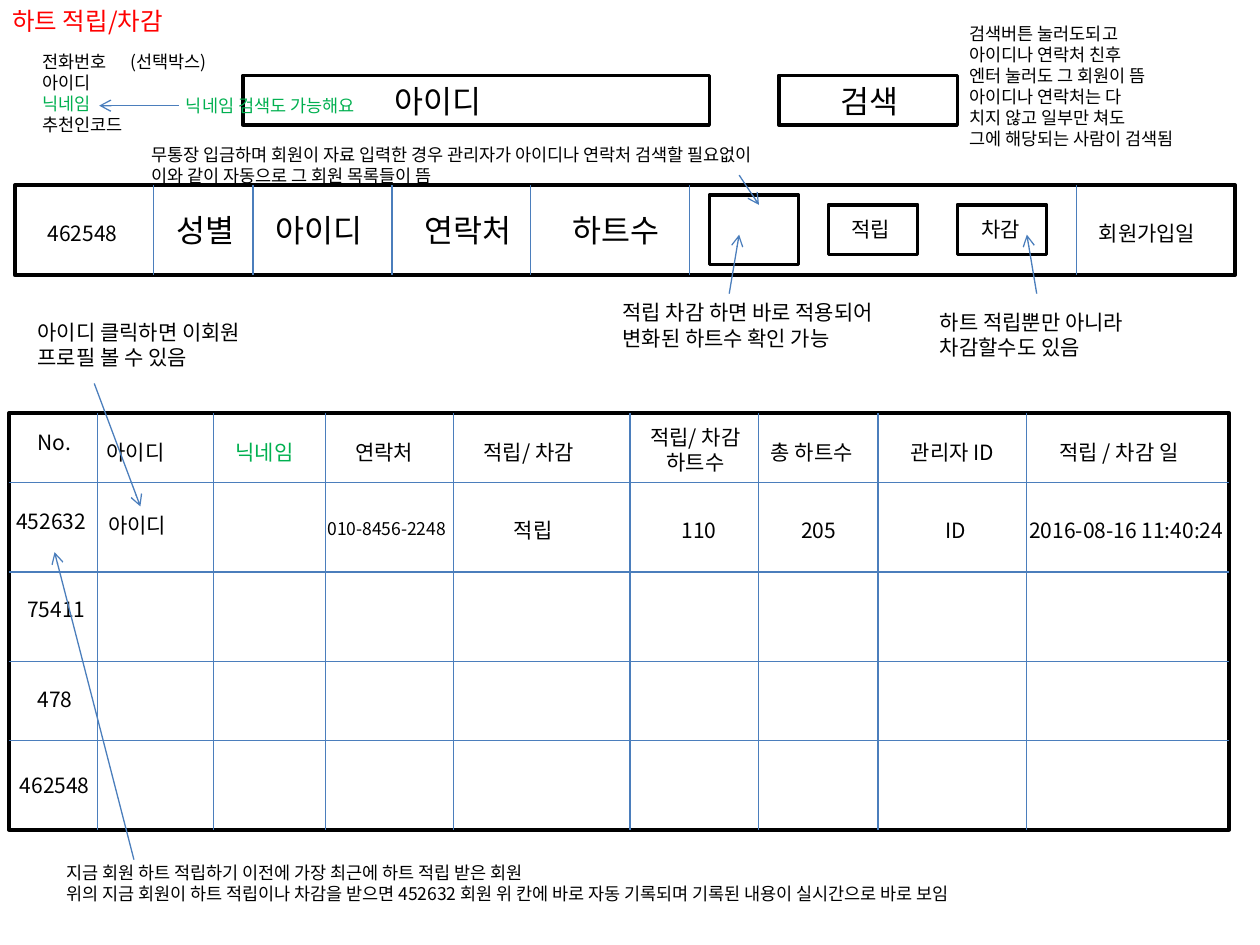
from dataclasses import dataclass, field

from lxml import etree
from pptx import Presentation
from pptx import util as u
from pptx.dml.color import RGBColor
from pptx.enum import shapes, text
from pptx.oxml import ns

FONT = "Noto Sans CJK KR"
COLORS = {"black": "000000", "red": "FF0000", "green": "00B050", "blue": "4B7EBC"}
LINE_HEIGHT = 0.0423
PADDING = 0.25


@dataclass
class Frame:
    left: float
    top: float
    width: float
    height: float
    columns: tuple[float, ...] = ()
    rows: tuple[float, ...] = ()


@dataclass
class Label:
    content: str
    left: float
    top: float
    width: float
    style: dict = field(default_factory=dict)


@dataclass
class Arrow:
    start: tuple[float, float]
    end: tuple[float, float]


LARGE = {"size": 18}
SMALL = {"size": 10}
GREEN = {"color": "green"}
WRAPPED = {"wrap": True}
CENTERED = {"align": text.PP_ALIGN.CENTER}

HEADER_TOP = 8.74
RECORD_TOP = 10.31
MEMBER_TOP = 4.12

FRAMES = [
    Frame(0.18, 8.33, 24.6, 8.4,
          columns=(1.97, 4.3, 6.56, 9.14, 12.7, 15.29, 17.7, 20.7),
          rows=(9.73, 11.53, 13.33, 14.93)),
    Frame(4.9, 1.52, 9.4, 1),
    Frame(15.7, 1.52, 3.6, 1),
    Frame(0.3, 3.73, 24.6, 1.82, columns=(3.1, 5.1, 7.9, 10.7, 13.9, 21.7)),
    Frame(14.3, 3.93, 1.8, 1.4),
    Frame(16.7, 4.13, 1.8, 1),
    Frame(19.3, 4.13, 1.8, 1),
]

LABELS = [
    Label("하트 적립/차감", 0, 0, 3.89, {"size": 14, "color": "red"}),
    Label("전화번호\t(선택박스)\n아이디\n닉네임\n추천인코드", 0.61, 0.91, 4.06,
          {"size": 10, "accents": {2: "green"}, "tab": 1.78}),
    Label("닉네임 검색도 가능해요", 3.5, 1.78, 4.32, SMALL | GREEN),
    Label("아이디", 7.7, 1.52, 2.44, LARGE),
    Label("검색", 16.69, 1.52, 1.8, LARGE),
    Label("검색버튼 눌러도되고\n아이디나 연락처 친후\n엔터 눌러도 그 회원이 뜸\n"
          "아이디나 연락처는 다\n치지 않고 일부만 쳐도\n그에 해당되는 사람이 검색됨",
          19.3, 0.33, 5.16, SMALL),
    Label("무통장 입금하며 회원이 자료 입력한 경우 관리자가 아이디나 연락처 검색할 필요없이\n"
          "이와 같이 자동으로 그 회원 목록들이 뜸", 2.8, 2.77, 14.22, SMALL),
    Label("462548", 0.71, 4.32, 1.93),
    Label("성별", 3.3, MEMBER_TOP, 1.8, LARGE),
    Label("아이디", 5.3, MEMBER_TOP, 2.44, LARGE),
    Label("연락처", 8.3, MEMBER_TOP, 2.44, LARGE),
    Label("하트수", 11.3, MEMBER_TOP, 2.44, LARGE),
    Label("적립", 16.92, 4.24, 1.37),
    Label("차감", 19.53, 4.24, 1.37),
    Label("회원가입일", 21.9, 4.32, 2.64),
    Label("아이디 클릭하면 이회원\n프로필 볼 수 있음", 0.51, 6.32, 6.1, WRAPPED),
    Label("적립 차감 하면 바로 적용되어 변화된 하트수 확인 가능", 12.3, 5.92, 6.1,
          {"wrap": True, "line_count": 2}),
    Label("하트 적립뿐만 아니라\n차감할수도 있음", 18.7, 6.12, 6.1, WRAPPED),
    Label("No.", 0.51, 8.53, 1.19),
    Label("아이디", 1.9, HEADER_TOP, 1.8),
    Label("닉네임", 4.5, HEADER_TOP, 1.8, GREEN),
    Label("연락처", 6.91, HEADER_TOP, 1.8),
    Label("적립/ 차감", 9.5, HEADER_TOP, 2.54),
    Label("적립/ 차감\n하트수", 12.75, 8.43, 2.54, CENTERED),
    Label("총 하트수", 15.29, HEADER_TOP, 2.36),
    Label("관리자 ID", 18.11, HEADER_TOP, 2.36),
    Label("적립 / 차감 일", 21.11, HEADER_TOP, 3.28),
    Label("452632", 0.08, 10.13, 1.93),
    Label("아이디", 1.93, 10.21, 1.8),
    Label("010-8456-2248", 6.35, RECORD_TOP, 2.97, SMALL),
    Label("적립", 10.11, RECORD_TOP, 1.37),
    Label("110", 13.49, RECORD_TOP, 1.22),
    Label("205", 15.9, RECORD_TOP, 1.22),
    Label("ID", 17.91, RECORD_TOP, 2.72, WRAPPED | CENTERED),
    Label("2016-08-16 11:40:24", 20.5, RECORD_TOP, 5, WRAPPED),
    Label("75411", 0.3, 11.91, 1.7),
    Label("478", 0.51, 13.72, 1.22),
    Label("462548", 0.15, 15.44, 1.93),
    Label("지금 회원 하트 적립하기 이전에 가장 최근에 하트 적립 받은 회원\n"
          "위의 지금 회원이 하트 적립이나 차감을 받으면 452632 회원 위 칸에 바로 "
          "자동 기록되며 기록된 내용이 실시간으로 바로 보임", 1.09, 17.25, 20.68, SMALL),
]

ARROWS = [
    Arrow((3.6, 2.13), (2, 2.13)),
    Arrow((14.9, 3.53), (15.3, 4.13)),
    Arrow((14.7, 5.92), (14.9, 4.73)),
    Arrow((20.9, 5.92), (20.7, 4.73)),
    Arrow((1.9, 7.73), (2.83, 10.21)),
    Arrow((2.7, 17.33), (1.1, 11.13)),
]


def rgb(name: str) -> RGBColor:
    return RGBColor.from_string(COLORS[name])


def write(slide, content: str, *, left: float, top: float, width: float,
          size: float = 12, color: str = "black", align=None, wrap: bool = False,
          line_count: int = 0, accents: dict | None = None, tab: float = 0) -> None:
    lines = content.split("\n")
    height = PADDING + LINE_HEIGHT * size * (line_count or len(lines))
    shape = slide.shapes.add_textbox(u.Cm(left), u.Cm(top), u.Cm(width), u.Cm(height))
    frame = shape.text_frame
    frame.word_wrap = wrap
    frame.auto_size = text.MSO_AUTO_SIZE.SHAPE_TO_FIT_TEXT
    for index, line in enumerate(lines):
        paragraph = frame.paragraphs[0] if index == 0 else frame.add_paragraph()
        if tab and "\t" in line:
            properties = paragraph._p.get_or_add_pPr()
            tabs = etree.SubElement(properties, ns.qn("a:tabLst"))
            etree.SubElement(tabs, ns.qn("a:tab"), pos=str(u.Cm(tab)), algn="l")
        paragraph.alignment = align
        run = paragraph.add_run()
        run.text = line
        run.font.size = u.Pt(size)
        run.font.name = FONT
        run.font.color.rgb = rgb((accents or {}).get(index, color))
        etree.SubElement(run._r.get_or_add_rPr(), ns.qn("a:ea"), typeface=FONT)


def draw_line(slide, start: tuple[float, float], end: tuple[float, float],
              arrow: bool = False) -> None:
    connector = slide.shapes.add_connector(
        shapes.MSO_CONNECTOR.STRAIGHT, *(u.Cm(value) for value in start + end))
    connector.line.color.rgb = rgb("blue")
    connector.line.width = u.Pt(0.75)
    if arrow:
        etree.SubElement(connector.line._get_or_add_ln(), ns.qn("a:tailEnd"), type="arrow")
    etree.SubElement(connector._element.spPr, ns.qn("a:effectLst"))


def draw_frame(slide, frame: Frame) -> None:
    shape = slide.shapes.add_shape(
        shapes.MSO_SHAPE.RECTANGLE, u.Cm(frame.left), u.Cm(frame.top),
        u.Cm(frame.width), u.Cm(frame.height))
    shape.shadow.inherit = False
    shape.fill.background()
    shape.line.color.rgb = rgb("black")
    shape.line.width = u.Pt(2)
    for x in frame.columns:
        draw_line(slide, (x, frame.top), (x, frame.top + frame.height))
    for y in frame.rows:
        draw_line(slide, (frame.left, y), (frame.left + frame.width, y))


def main() -> None:
    presentation = Presentation()
    presentation.slide_width = u.Cm(25.4)
    presentation.slide_height = u.Cm(19.05)
    slide = presentation.slides.add_slide(presentation.slide_layouts[6])
    for frame in FRAMES:
        draw_frame(slide, frame)
    for label in LABELS:
        write(slide, label.content, left=label.left, top=label.top,
              width=label.width, **label.style)
    for arrow in ARROWS:
        draw_line(slide, arrow.start, arrow.end, arrow=True)
    presentation.save("out.pptx")


if __name__ == "__main__":
    main()
